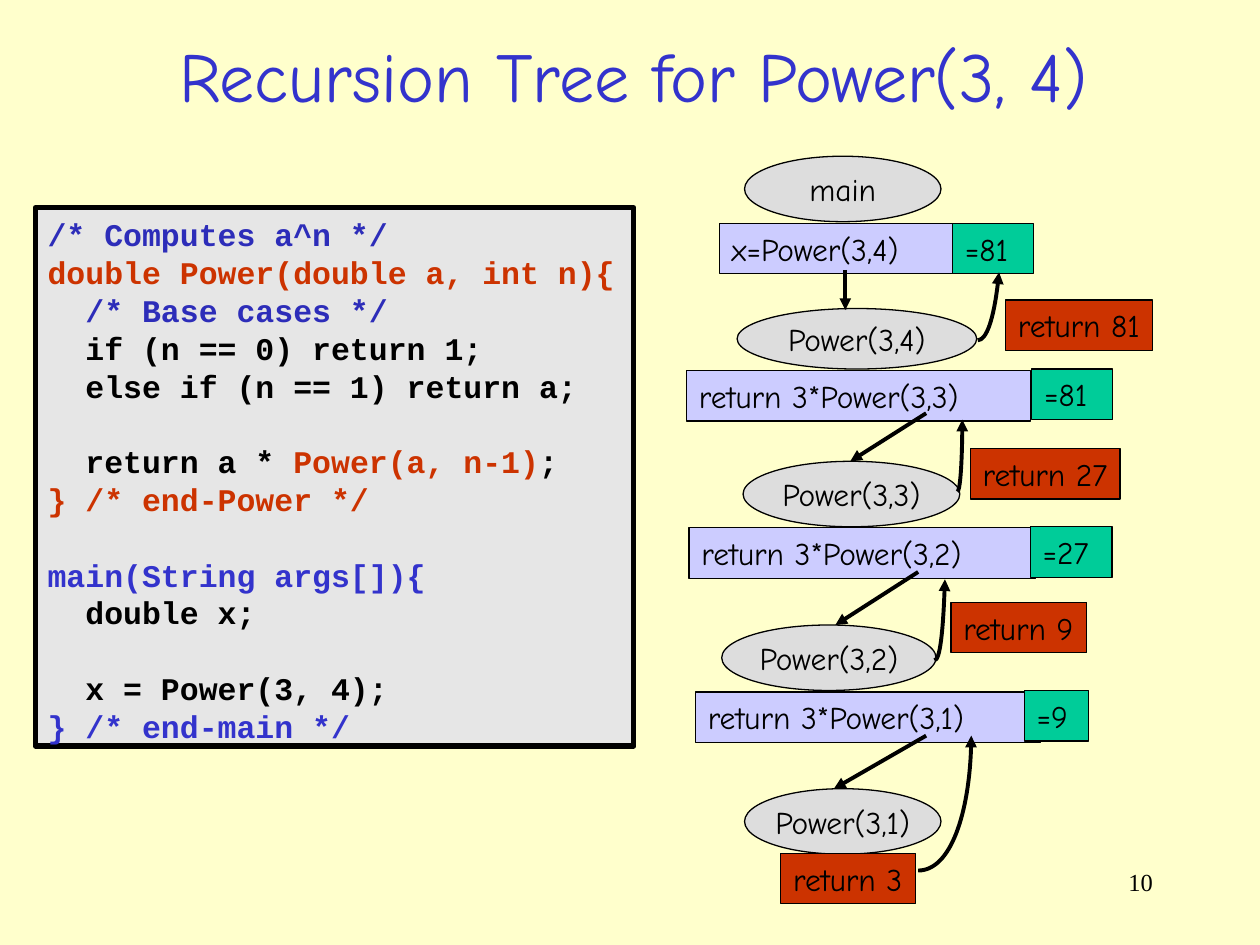
import lxml.etree
import pptx
import pptx.dml.color
import pptx.enum.shapes
import pptx.enum.text
import pptx.oxml.ns
import pptx.util

Cm = pptx.util.Cm
Pt = pptx.util.Pt
qn = pptx.oxml.ns.qn
Shape = pptx.enum.shapes.MSO_SHAPE
Align = pptx.enum.text.PP_ALIGN
Anchor = pptx.enum.text.MSO_ANCHOR

HUES = {
    "page": "FFFFCC", "ink": "000000", "blue": "3333CC", "note": "2D2DB9",
    "red": "CC3300", "green": "00CC99", "lilac": "CCCCFF",
    "grey": "DDDDDD", "code": "E6E6E6",
}
FONT = "Comic Neue"
ROW = 1.02

CODE = [
    [("/* Computes a^n */", "note")],
    [("double Power(double a, int n){", "red")],
    [("  ", "ink"), ("/* Base cases */", "note")],
    [("  if (n == 0) return 1;", "ink")],
    [("  else if (n == 1) return a;", "ink")],
    [],
    [("  return a * ", "ink"), ("Power(a, n-1)", "red"), (";", "ink")],
    [("} /* end-Power */", "red")],
    [],
    [("main(String args[]){", "blue")],
    [("  double x;", "ink")],
    [],
    [("  x = Power(3, 4);", "ink")],
    [("} /* end-main */", "blue")],
]

CALLS = [
    {"node": ("main", 1.17, 0, 3.96, 1.32),
     "band": ("x=Power(3,4)", 0.66, 1.35, 4.72),
     "value": ("=81", 5.36, 1.35, 1.63)},
    {"node": ("Power(3,4)", 1.02, 3.07, 4.83, 1.22),
     "band": ("return 3*Power(3,3)", 0, 4.32, 6.93),
     "value": ("=81", 6.96, 4.29, 1.63),
     "back": ("return 81", 6.43, 2.9, 2.97),
     "down": [(3.2, 2.29), (3.2, 3.1)],
     "curve": [(5.87, 3.71), (6.05, 3.71), (6.22, 3.2), (6.3, 2.34)]},
    {"node": ("Power(3,3)", 1.14, 6.15, 4.37, 1.32),
     "band": ("return 3*Power(3,2)", 0.05, 7.49, 6.99),
     "value": ("=27", 6.93, 7.47, 1.65),
     "back": ("return 27", 5.72, 5.89, 3.02),
     "down": [(4.83, 5.18), (3.3, 6.15)],
     "curve": [(5.46, 6.76), (5.51, 6.76), (5.56, 6.2), (5.56, 5.31)]},
    {"node": ("Power(3,2)", 0.71, 9.45, 4.32, 1.32),
     "band": ("return 3*Power(3,1)", 0.18, 10.8, 6.96),
     "value": ("=9", 6.81, 10.77, 1.3),
     "back": ("return 9", 5.33, 8.99, 2.74),
     "down": [(4.67, 8.38), (3, 9.45)],
     "curve": [(5, 10.16), (5.11, 10.16), (5.18, 9.5), (5.21, 8.53)]},
    {"node": ("Power(3,1)", 1.17, 12.75, 3.96, 1.32),
     "back": ("return 3", 1.9, 14.05, 2.72),
     "down": [(4.83, 11.68), (2.97, 12.75)],
     "curve": [(4.67, 14.4), (5.33, 14.4), (5.74, 13.11), (5.74, 11.68)]},
]


def tint(name):
    return pptx.dml.color.RGBColor.from_string(HUES[name])


def style(run, size, hue, face=FONT):
    run.font.size = Pt(size)
    run.font.name = face
    run.font.color.rgb = tint(hue)


def write(frame, text, size, hue, align, face=FONT):
    frame.text = text
    para = frame.paragraphs[0]
    para.alignment = align
    style(para.runs[0], size, hue, face)


def block(slide, kind, box, fill, width=0.75):
    shape = slide.shapes.add_shape(kind, *(Cm(n) for n in box))
    shape.shadow.inherit = False
    shape.fill.solid()
    shape.fill.fore_color.rgb = tint(fill)
    shape.line.color.rgb = tint("ink")
    shape.line.width = Pt(width)
    shape.text_frame.word_wrap = False
    shape.text_frame.vertical_anchor = Anchor.MIDDLE
    return shape


def label(slide, kind, box, text, fill, align):
    shape = block(slide, kind, box, fill)
    write(shape.text_frame, text, 18, "ink", align)
    return shape


def point(shape):
    shape.line.color.rgb = tint("ink")
    shape.line.width = Pt(2.25)
    edge = shape._element.spPr.find(qn("a:ln"))
    lxml.etree.SubElement(edge, qn("a:tailEnd"), type="triangle")


def arrow(slide, start, end):
    straight = pptx.enum.shapes.MSO_CONNECTOR.STRAIGHT
    line = slide.shapes.add_connector(
        straight, *(Cm(n) for n in (*start, *end)))
    point(line)
    lxml.etree.SubElement(line._element.spPr, qn("a:effectLst"))


def bend(slide, spots):
    first, *rest = [(Cm(x), Cm(y)) for x, y in spots]
    pen = slide.shapes.build_freeform(*first)
    pen.add_line_segments(rest, close=False)
    shape = pen.convert_to_shape()
    shape.shadow.inherit = False
    shape.fill.background()
    track = next(shape._element.iter(qn("a:path")))
    cubic = lxml.etree.SubElement(track, qn("a:cubicBezTo"))
    for step in track.findall(qn("a:lnTo")):
        cubic.append(step[0])
        track.remove(step)
    point(shape)


def title(slide, box):
    head = slide.shapes.title
    head.left, head.top, head.width, head.height = (Cm(n) for n in box)
    head.text_frame.vertical_anchor = Anchor.MIDDLE
    write(head.text_frame, "Recursion Tree for Power(3, 4)", 40, "blue",
          Align.CENTER)


def code(slide, box):
    frame = block(slide, Shape.RECTANGLE, box, "code", 3).text_frame
    frame.margin_top = Cm(0.25)
    for i, parts in enumerate(CODE):
        para = frame.add_paragraph() if i else frame.paragraphs[0]
        para.alignment = Align.LEFT
        para.line_spacing = Pt(21.6)
        para.font.size = Pt(18)
        for text, hue in parts:
            run = para.add_run()
            run.text = text
            style(run, 18, hue, "Courier New")
            run.font.bold = True


def tree(slide, box):
    left, top = box[:2]

    def shift(spots):
        return [(left + x, top + y) for x, y in spots]

    fills = {"band": "lilac", "value": "green", "back": "red"}
    for call in CALLS:
        text, x, y, wide, high = call["node"]
        label(slide, Shape.OVAL, (left + x, top + y, wide, high), text,
              "grey", Align.CENTER)
        for part, fill in fills.items():
            if part in call:
                text, x, y, wide = call[part]
                label(slide, Shape.RECTANGLE, (left + x, top + y, wide, ROW),
                      text, fill, Align.LEFT)
        if "down" in call:
            arrow(slide, *shift(call["down"]))
            bend(slide, shift(call["curve"]))


def number(slide, box):
    frame = slide.shapes.add_textbox(*(Cm(n) for n in box)).text_frame
    frame.word_wrap = True
    write(frame, "10", 14, "ink", Align.RIGHT, "Times New Roman")


def main():
    deck = pptx.Presentation()
    deck.slide_width, deck.slide_height = Cm(25.4), Cm(19.05)
    slide = deck.slides.add_slide(deck.slide_layouts[5])
    slide.background.fill.solid()
    slide.background.fill.fore_color.rgb = tint("page")
    number(slide, (18.21, 17.35, 5.28, 1.27))
    title(slide, (0.61, 0.61, 24.31, 1.78))
    tree(slide, (13.84, 3.15, 9.4, 15.07))
    code(slide, (0.71, 4.19, 12.07, 10.85))
    deck.save("out.pptx")


if __name__ == "__main__":
    main()
